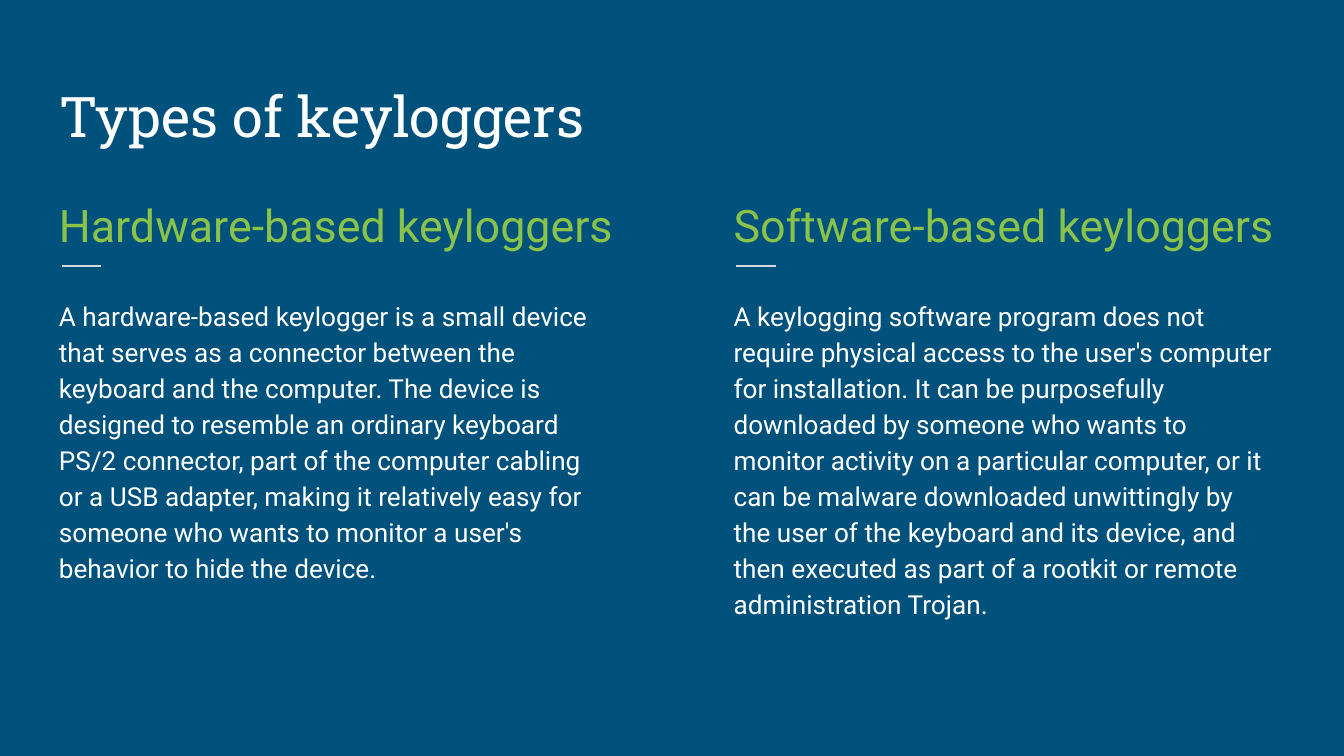
import pptx
import pptx.dml.color
import pptx.enum.shapes
import pptx.enum.text
import pptx.oxml.ns
import pptx.util
from lxml import etree

Pt = pptx.util.Pt
RGBColor = pptx.dml.color.RGBColor
PP_ALIGN = pptx.enum.text.PP_ALIGN

NAVY = RGBColor(0x00, 0x51, 0x7C)
WHITE = RGBColor(0xFF, 0xFF, 0xFF)
GREEN = RGBColor(0x8B, 0xC3, 0x4A)
GREY = RGBColor(0xCF, 0xD8, 0xDC)

TITLE_FONT = {"name": "Roboto Slab", "size": Pt(30), "bold": False}
HEADING_FONT = {"name": "Roboto", "size": Pt(24)}
BODY_FONT = {"name": "Roboto", "size": Pt(14)}

TITLE_PARA = {"alignment": PP_ALIGN.LEFT}
COLUMN_PARA = {
    "alignment": PP_ALIGN.LEFT,
    "line_spacing": 1.15,
    "space_after": Pt(16),
}

FRAME = {
    "word_wrap": True,
    "auto_size": pptx.enum.text.MSO_AUTO_SIZE.NONE,
    "margin_left": Pt(7.2),
    "margin_right": Pt(7.2),
    "margin_top": Pt(7.2),
    "margin_bottom": Pt(7.2),
}
TOP_FRAME = {**FRAME, "vertical_anchor": pptx.enum.text.MSO_ANCHOR.TOP}
BOTTOM_FRAME = {**FRAME, "vertical_anchor": pptx.enum.text.MSO_ANCHOR.BOTTOM}

LEFT = 24.5
COLUMN_STEP = 361.4

COLUMNS = [
    (
        "Hardware-based keyloggers",
        361.4,
        "A hardware-based keylogger is a small device that serves as a "
        "connector between the keyboard and the computer. The device is "
        "designed to resemble an ordinary keyboard PS/2 connector, part of "
        "the computer cabling or a USB adapter, making it relatively easy "
        "for someone who wants to monitor a user's behavior to hide the "
        "device.",
    ),
    (
        "Software-based keyloggers",
        334.1,
        "A keylogging software program does not require physical access to "
        "the user's computer for installation. It can be purposefully "
        "downloaded by someone who wants to monitor activity on a particular "
        "computer, or it can be malware downloaded unwittingly by the user "
        "of the keyboard and its device, and then executed as part of a "
        "rootkit or remote administration Trojan.",
    ),
]


def apply_format(target, values):
    for name, value in values.items():
        setattr(target, name, value)


def write_text(box, text, frame_format, para_format, font_format, color):
    frame = box.text_frame
    apply_format(frame, frame_format)
    para = frame.paragraphs[0]
    apply_format(para, para_format)
    span = para.add_run()
    span.text = text
    apply_format(span.font, font_format)
    span.font.color.rgb = color


def add_title(page, text):
    box = page.shapes.title
    position = {
        "left": Pt(LEFT),
        "top": Pt(29.5),
        "width": Pt(671),
        "height": Pt(57.6),
    }
    apply_format(box, position)
    write_text(box, text, BOTTOM_FRAME, TITLE_PARA, TITLE_FONT, WHITE)


def add_text(page, text, left, top, width, height, font_format, color):
    box = page.shapes.add_textbox(Pt(left), Pt(top), Pt(width), Pt(height))
    write_text(box, text, TOP_FRAME, COLUMN_PARA, font_format, color)


def add_rule(page, left, top, width):
    rule = page.shapes.add_connector(
        pptx.enum.shapes.MSO_CONNECTOR.STRAIGHT,
        Pt(left), Pt(top), Pt(left + width), Pt(top),
    )
    rule.line.color.rgb = GREY
    rule.line.width = Pt(0.75)
    properties = rule._element.spPr
    etree.SubElement(properties, pptx.oxml.ns.qn("a:effectLst"))


def add_column(page, left, heading, heading_width, body):
    add_text(page, heading, left, 94.3, heading_width, 41, HEADING_FONT, GREEN)
    add_rule(page, left + 8.5, 142.6, 21.2)
    add_text(page, body, left, 151.2, 303.1, 216.7, BODY_FONT, WHITE)


def main():
    deck = pptx.Presentation()
    apply_format(deck, {"slide_width": Pt(720), "slide_height": Pt(405)})
    page = deck.slides.add_slide(deck.slide_layouts.get_by_name("Title Only"))
    page.background.fill.solid()
    page.background.fill.fore_color.rgb = NAVY
    add_title(page, "Types of keyloggers")
    for index, column in enumerate(COLUMNS):
        add_column(page, LEFT + index * COLUMN_STEP, *column)
    deck.save("out.pptx")


if __name__ == "__main__":
    main()
